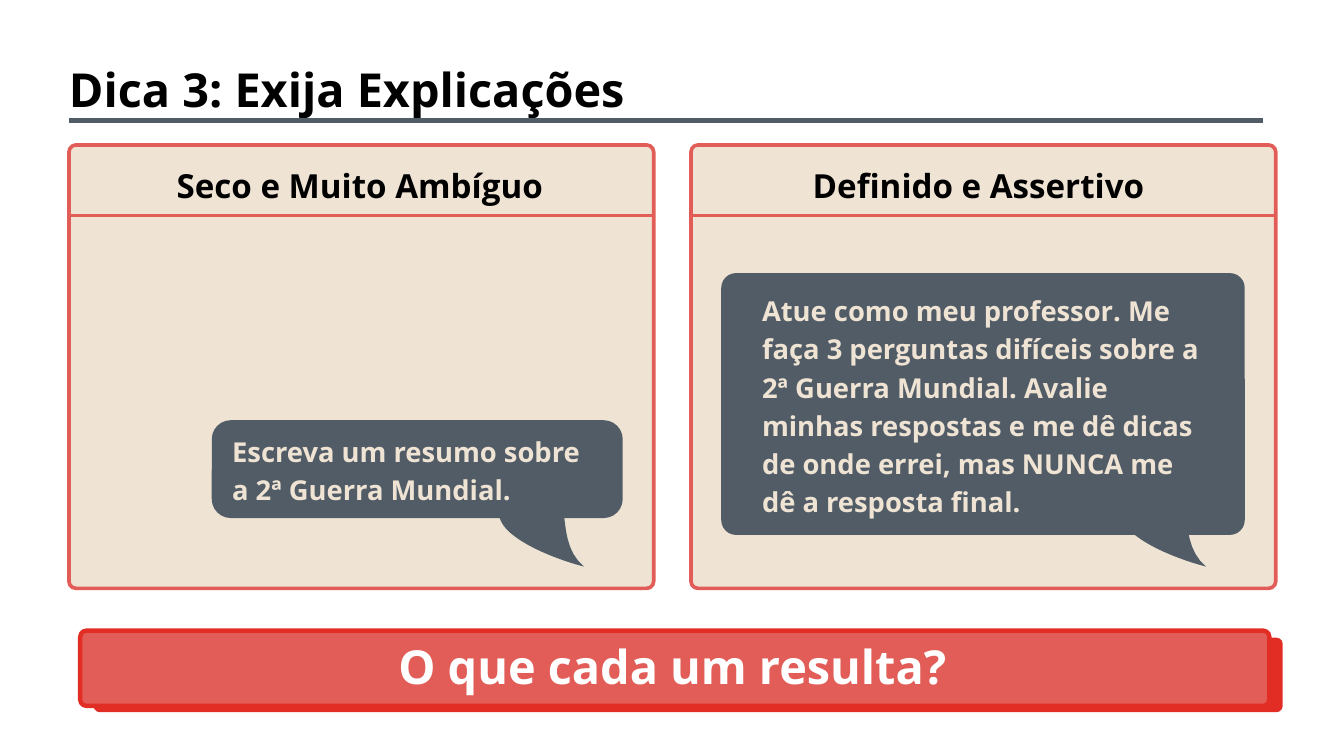
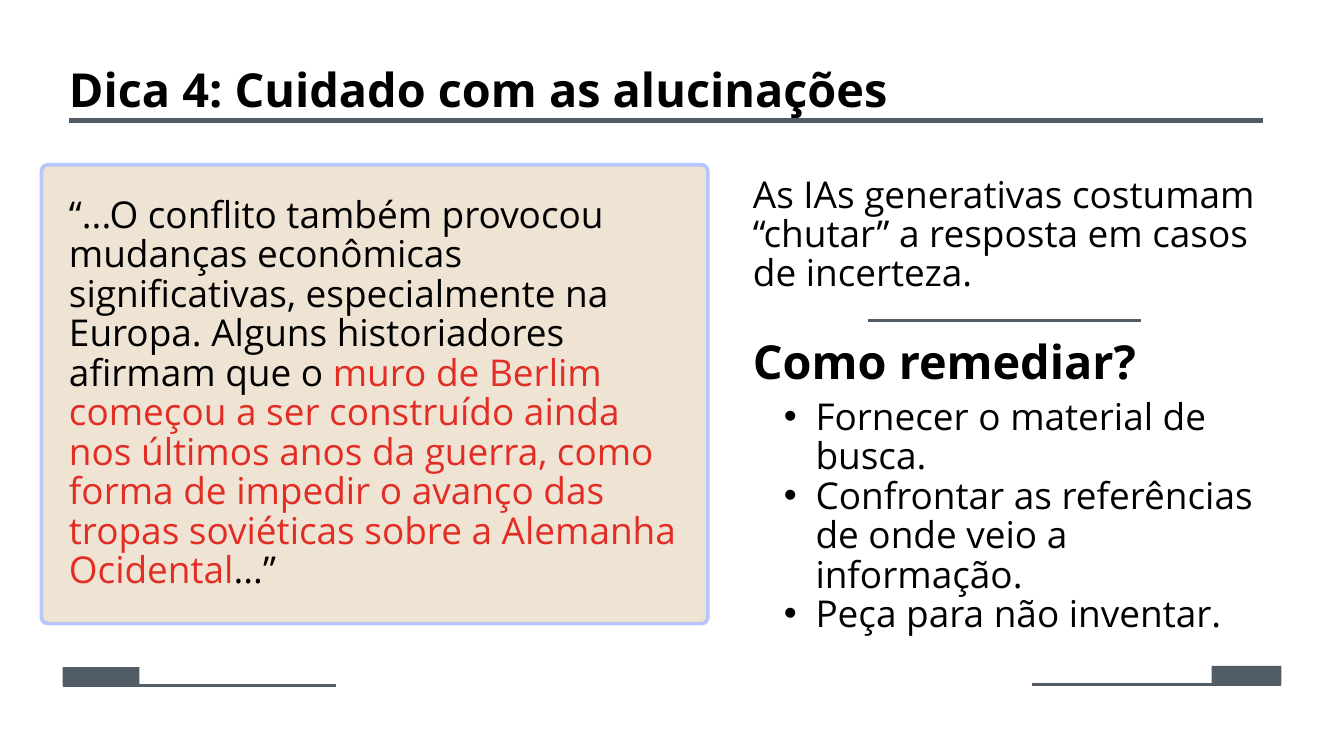
"""Builds two slides of tips on prompting: asking for explanations and minding hallucinations."""
from lxml import etree
from pptx import Presentation
from pptx import util as u
from pptx.dml.color import RGBColor
from pptx.enum import shapes, text
from pptx.oxml.ns import qn

PX = 9144
FONT = "Open Sans"
COLOURS = {
    "slate": "515C67", "sand": "EFE3D4", "coral": "E25D57", "red": "E22D25",
    "lilac": "B8C5FF", "black": "000000", "white": "FFFFFF",
}
STYLES = {
    "title": {"size": 47.9, "bold": True, "colour": "black", "spacing": 67.1},
    "heading": {"size": 33.9, "bold": True, "colour": "black", "spacing": 47.5},
    "bubble": {"size": 28, "bold": True, "colour": "sand", "spacing": 39.2},
    "banner": {"size": 47.9, "bold": True, "colour": "white", "spacing": 46},
    "body": {"size": 37.8, "bold": False, "colour": "black", "spacing": 40.4},
}

TITLE_BOX = (98, 73, 1715, 89)
TITLE_RULE = (98, 171, 1795, 171)

PANEL_LEFT, PANEL_TOP, PANEL_W, PANEL_H = 98, 206, 831, 630
PANEL_STEP = 884
HEADER_Y = 306
PANELS = [
    {"heading": "Seco e Muito Ambíguo", "heading_box": (251, 226, 526, 63),
     "bubble": (301, 597, 584, 139), "radius": 27,
     "prompt": "Escreva um resumo sobre a 2ª Guerra Mundial.",
     "prompt_box": (330, 610, 526, 107)},
    {"heading": "Definido e Assertivo", "heading_box": (1155, 226, 484, 63),
     "bubble": (1025, 388, 744, 372), "radius": 21,
     "prompt": "Atue como meu professor. Me faça 3 perguntas difíceis sobre a "
               "2ª Guerra Mundial. Avalie minhas respostas e me dê dicas de onde "
               "errei, mas NUNCA me dê a resposta final.",
     "prompt_box": (1083, 410, 628, 323)},
]
TAIL_START = (830, 805)
TAIL_CURVES = [
    ((795, 796), (742, 776), (719, 751)),
    ((702, 732), (704, 703), (723, 686)),
    ((742, 669), (771, 670), (788, 689)),
    ((811, 714), (791, 773), (830, 805)),
]
BANNER = "O que cada um resulta?"
BANNER_LAYERS = [((133, 906, 1690, 106), None), ((114, 896, 1690, 107), "coral")]

QUOTE = [
    ("“...O conflito também provocou mudanças econômicas significativas, "
     "especialmente na Europa. Alguns historiadores afirmam que o ", "black"),
    ("muro de Berlim começou a ser construído ainda nos últimos anos da guerra, "
     "como forma de impedir o avanço das tropas soviéticas sobre a Alemanha "
     "Ocidental", "red"),
    ("...”", "black"),
]
WARNING = "As IAs generativas costumam “chutar” a resposta em casos de incerteza."
REMEDY_HEADING = "Como remediar?"
REMEDIES = [
    "Fornecer o material de busca.",
    "Confrontar as referências de onde veio a informação.",
    "Peça para não inventar.",
]
FOOTERS = [
    {"tab": (89, 948, 109, 26), "line": (89, 974, 477, 974)},
    {"tab": (1722, 946, 99, 26), "line": (1467, 972, 1821, 972)},
]


def rgb(name):
    return RGBColor.from_string(COLOURS[name])


def emu(values):
    return [u.Emu(v * PX) for v in values]


def paint(sp, fill, line=None, width=0):
    sp.shadow.inherit = False
    sp.fill.solid()
    sp.fill.fore_color.rgb = rgb(fill)
    if line:
        sp.line.color.rgb = rgb(line)
        sp.line.width = u.Pt(width)
    else:
        sp.line.fill.background()


def add_box(s, box, fill, line=None, width=0, radius=0):
    kind = shapes.MSO_SHAPE.ROUNDED_RECTANGLE if radius else shapes.MSO_SHAPE.RECTANGLE
    sp = s.shapes.add_shape(kind, *emu(box))
    if radius:
        sp.adjustments[0] = radius / min(box[2:])
    paint(sp, fill, line, width)


def add_line(s, ends, colour, width):
    sp = s.shapes.add_connector(shapes.MSO_CONNECTOR.STRAIGHT, *emu(ends))
    sp.line.color.rgb = rgb(colour)
    sp.line.width = u.Pt(width)
    etree.SubElement(sp._element.spPr, qn("a:effectLst"))


def add_bullet(p):
    pPr = p._p.get_or_add_pPr()
    pPr.set("marL", str(89 * PX))
    pPr.set("indent", str(-45 * PX))
    etree.SubElement(pPr, qn("a:buFont"), typeface="Arial")
    etree.SubElement(pPr, qn("a:buChar"), char="•")


def write(sp, paragraphs, style, align=text.PP_ALIGN.LEFT, bullets=False):
    look = STYLES[style]
    tf = sp.text_frame
    frame = {"word_wrap": True, "auto_size": text.MSO_AUTO_SIZE.NONE,
             "vertical_anchor": text.MSO_ANCHOR.TOP, "margin_left": 0,
             "margin_right": 0, "margin_top": 0, "margin_bottom": 0}
    for name, value in frame.items():
        setattr(tf, name, value)
    for i, runs in enumerate(paragraphs):
        p = tf.add_paragraph() if i else tf.paragraphs[0]
        if bullets:
            add_bullet(p)
        p.alignment = align
        p.line_spacing = u.Pt(look["spacing"])
        if isinstance(runs, str):
            runs = [(runs, look["colour"])]
        for words, colour in runs:
            r = p.add_run()
            r.text = words
            font = {"name": FONT, "size": u.Pt(look["size"]), "bold": look["bold"]}
            for name, value in font.items():
                setattr(r.font, name, value)
            r.font.color.rgb = rgb(colour)


def add_text(s, box, paragraphs, style, **options):
    write(s.shapes.add_textbox(*emu(box)), paragraphs, style, **options)


def add_tail(s, shift):
    points, start = [], TAIL_START
    for a, b, end in TAIL_CURVES:
        for t in (i / 12 for i in range(1, 13)):
            weights = ((1 - t) ** 3, 3 * t * (1 - t) ** 2, 3 * t * t * (1 - t), t ** 3)
            x, y = (sum(w * q[k] for w, q in zip(weights, (start, a, b, end)))
                    for k in (0, 1))
            points.append((round((x + shift) * PX), round(y * PX)))
        start = end
    outline = s.shapes.build_freeform(*points[-1], scale=1.0)
    outline.add_line_segments(points, close=True)
    paint(outline.convert_to_shape(), "slate")


def add_slide(prs, title):
    s = prs.slides.add_slide(prs.slide_layouts[5])
    sp = s.shapes.title
    sp.left, sp.top, sp.width, sp.height = emu(TITLE_BOX)
    write(sp, [title], "title")
    add_line(s, TITLE_RULE, "slate", 4.5)
    return s


def explanations_slide(prs):
    s = add_slide(prs, "Dica 3: Exija Explicações")
    for i, panel in enumerate(PANELS):
        shift = i * PANEL_STEP
        left = PANEL_LEFT + shift
        add_box(s, (left, PANEL_TOP, PANEL_W, PANEL_H), "sand", "coral", 3.75, radius=10)
        add_line(s, (left, HEADER_Y, left + PANEL_W, HEADER_Y), "coral", 3)
        add_tail(s, shift)
        add_box(s, panel["bubble"], "slate", radius=panel["radius"])
        add_text(s, panel["heading_box"], [panel["heading"]], "heading")
        add_text(s, panel["prompt_box"], [panel["prompt"]], "bubble")
    for box, face in BANNER_LAYERS:
        add_box(s, box, face or "red", "red" if face else None, 4.5, radius=9)
    add_text(s, (439, 922, 1033, 67), [BANNER], "banner", align=text.PP_ALIGN.CENTER)


def hallucinations_slide(prs):
    s = add_slide(prs, "Dica 4: Cuidado com as alucinações")
    add_box(s, (59, 234, 947, 652), "sand", "lilac", 3.75, radius=9)
    add_text(s, (98, 279, 869, 554), [QUOTE], "body")
    add_text(s, (1070, 250, 733, 167), [WARNING], "body")
    add_line(s, (1234, 456, 1622, 456), "slate", 3)
    add_text(s, (1070, 460, 552, 89), [REMEDY_HEADING], "title")
    add_text(s, (1070, 566, 733, 333), REMEDIES, "body", bullets=True)
    for footer in FOOTERS:
        add_box(s, footer["tab"], "slate")
        add_line(s, footer["line"], "slate", 3)


def main():
    prs = Presentation()
    prs.slide_width, prs.slide_height = emu((1910, 1067))
    explanations_slide(prs)
    hallucinations_slide(prs)
    prs.save("out.pptx")


if __name__ == "__main__":
    main()
